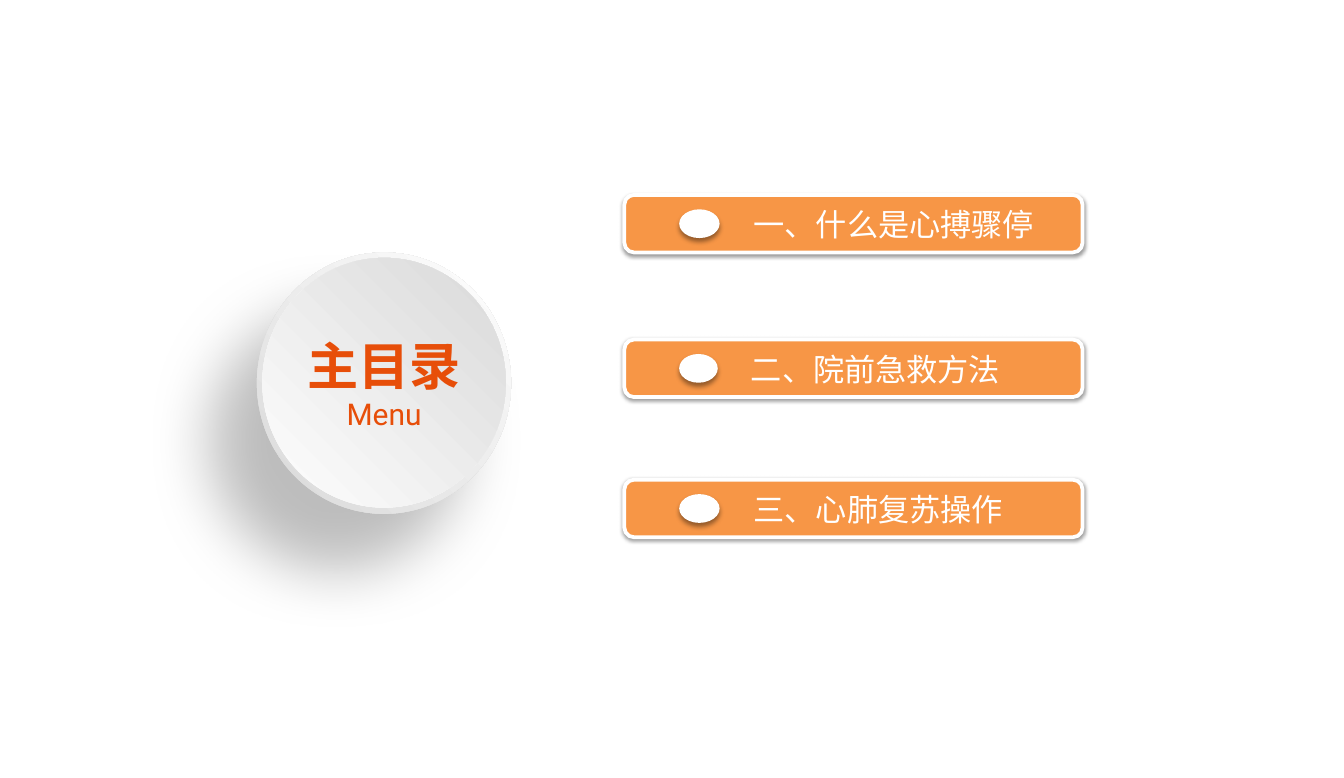
from lxml.etree import SubElement as Sub
from pptx import Presentation
from pptx.dml.color import RGBColor
from pptx.enum.shapes import MSO_SHAPE as Shape
from pptx.enum.text import MSO_ANCHOR as Anchor, MSO_AUTO_SIZE as Auto, PP_ALIGN as Align
from pptx.oxml.ns import qn
from pptx.util import Pt

WHITE = RGBColor(0xFF, 0xFF, 0xFF)
PEARL = RGBColor(0xFE, 0xFE, 0xFE)
GRAY = RGBColor(0xD9, 0xD9, 0xD9)
BLACK = RGBColor(0x00, 0x00, 0x00)
AMBER = RGBColor(0xF7, 0x96, 0x46)
RED = RGBColor(0xE7, 0x4E, 0x09)
HAN = "Noto Sans CJK SC"


def add_form(kind, box, fill, shade=None):
    """Add a borderless shape; shade is opacity %, blur, distance, angle."""
    form = slide.shapes.add_shape(kind, *map(Pt, box))
    form.shadow.inherit = False
    form.line.fill.background()
    if isinstance(fill, RGBColor):
        form.fill.solid()
        form.fill.fore_color.rgb = fill
    else:
        # Radial blend that starts at the top right corner
        form.fill.gradient()
        for stop, color in zip(form.fill.gradient_stops, fill):
            stop.color.rgb = color
        grad = form._element.spPr.find(qn("a:gradFill"))
        grad.remove(grad.find(qn("a:lin")))
        way = Sub(grad, qn("a:path"), path="circle")
        Sub(way, qn("a:fillToRect"), l="100000", b="100000")
    if shade:
        alpha, blur, dist, angle = shade
        glow = Sub(form._element.spPr.find(qn("a:effectLst")), qn("a:outerShdw"),
                   blurRad=str(Pt(blur)), dist=str(Pt(dist)),
                   dir=str(angle * 60000), algn="ctr", rotWithShape="0")
        tint = Sub(glow, qn("a:srgbClr"), val=str(BLACK))
        Sub(tint, qn("a:alpha"), val=str(alpha * 1000))
    return form


def add_text(par, text, style):
    """Add a run with the given font values and a Chinese font."""
    run = par.add_run()
    run.text = text
    for key, value in style.items():
        if key == "color":
            run.font.color.rgb = value
        else:
            setattr(run.font, key, value)
    Sub(run._r.get_or_add_rPr(), qn("a:ea"), typeface=HAN)


deck = Presentation()
deck.slide_width, deck.slide_height = Pt(1077.12), Pt(623.52)
slide = deck.slides.add_slide(deck.slide_layouts[5])

# Round badge: rim and face
face = (210.24, 206.64, 195.12, 200.16)
add_form(Shape.OVAL, (205.92, 202.32, 203.76, 209.52), (WHITE, GRAY), (25, 50, 60, 130))
add_form(Shape.OVAL, face, (GRAY, PEARL))

# Title on the face, moved in front of the badge
title = slide.shapes.title
title.left, title.top, title.width, title.height = map(Pt, face)
frame = title.text_frame
look = {"auto_size": Auto.NONE, "vertical_anchor": Anchor.MIDDLE, "word_wrap": True,
        "margin_left": 0, "margin_right": 0}
for key, value in look.items():
    setattr(frame, key, value)
par = frame.paragraphs[0]
par.alignment = Align.CENTER
base = {"name": "Roboto", "color": RED}
add_text(par, "主目录", {**base, "size": Pt(41), "bold": True})
par.add_line_break()
add_text(par, "Menu", {**base, "size": Pt(24), "bold": False})
slide.shapes._spTree.append(title._element)

# Menu bars: top, dot width, label left, label
items = [
    (156.24, 32.4, 596.88, "一、什么是心搏骤停"),
    (272.16, 30.96, 594.72, "二、院前急救方法"),
    (384.48, 32.4, 596.88, "三、心肺复苏操作"),
]
for top, wide, left, label in items:
    bar = add_form(Shape.ROUNDED_RECTANGLE, (500.4, top, 367.2, 46.08), AMBER,
                   (38, 3.1, 1.6, 90))
    bar.line.color.rgb = WHITE
    bar.line.width = Pt(3)
    add_form(Shape.OVAL, (544.32, top + 11.52, wide, 23.04), WHITE, (40, 4, 3, 90))
    box = slide.shapes.add_textbox(Pt(left), Pt(top + 5.04), Pt(270.72), Pt(37.44))
    box.text_frame.word_wrap = True
    add_text(box.text_frame.paragraphs[0], label,
             {"name": HAN, "size": Pt(25), "color": WHITE})

deck.save("out.pptx")
